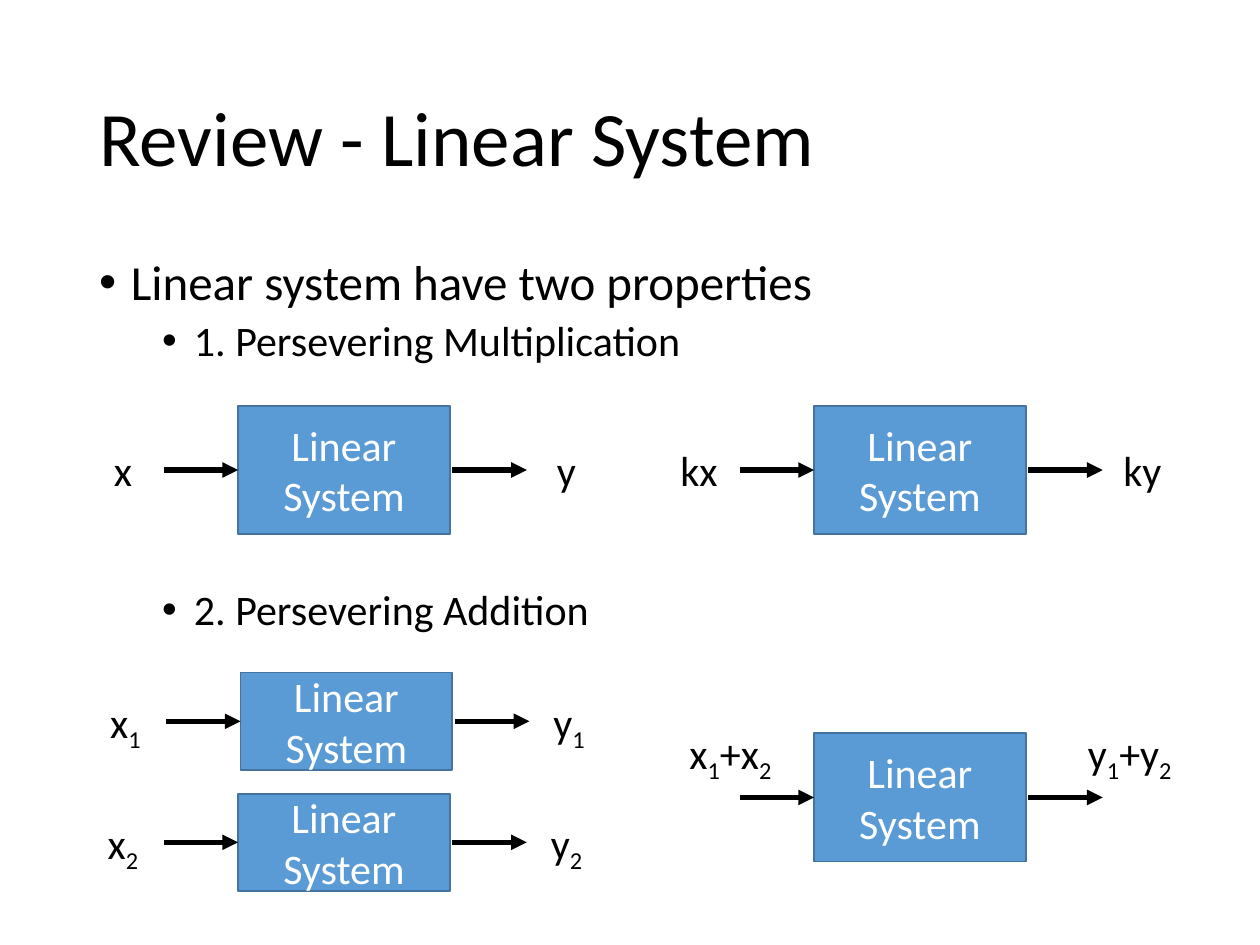
from itertools import groupby

from lxml import etree
from pptx import Presentation
from pptx import util as u
from pptx.dml.color import RGBColor
from pptx.enum import shapes, text
from pptx.oxml.ns import qn

BLACK, WHITE, BLUE, EDGE = "000000", "FFFFFF", "5B9BD5", "43739E"
BOX_WIDTH, ARROW_LENGTH, LABEL_HEIGHT = 4.27, 1.5, 1.27


def paint(target, colour):
    """Set a font, fill or line colour from a hex string."""
    target.rgb = RGBColor.from_string(colour)


def cm(*lengths):
    """Turn centimetre numbers into lengths."""
    return [u.Cm(length) for length in lengths]


def style(paragraph, size, colour=BLACK, align=text.PP_ALIGN.CENTER):
    """Give a paragraph its font and alignment."""
    paragraph.font.name = "Calibri"
    paragraph.font.size = u.Pt(size)
    paint(paragraph.font.color, colour)
    paragraph.alignment = align


def add_title(slide, wording):
    """Place and format the slide title."""
    title = slide.shapes.title
    title.left, title.top, title.width, title.height = cm(1.75, 1.01, 21.9, 3.68)
    title.text_frame.text = wording
    title.text_frame.vertical_anchor = text.MSO_ANCHOR.MIDDLE
    heading = title.text_frame.paragraphs[0]
    style(heading, 44, align=text.PP_ALIGN.LEFT)
    heading.line_spacing = 0.9


def add_outline(slide, items):
    """Add the bulleted outline of (wording, level, size, space before)."""
    frame = slide.shapes.add_textbox(*cm(1.75, 5.08, 21.9, 12.09)).text_frame
    frame.word_wrap = True
    frame.text = "\n".join(item[0] for item in items)
    for paragraph, (_, level, size, gap) in zip(frame.paragraphs, items):
        style(paragraph, size, align=text.PP_ALIGN.LEFT)
        paragraph.level = level
        paragraph.line_spacing = 0.9
        paragraph.space_before = u.Pt(gap)
        properties = paragraph._p.get_or_add_pPr()
        properties.set("marL", str(u.Cm(0.64 + 1.27 * level)))
        properties.set("indent", str(u.Cm(-0.64)))
        etree.SubElement(properties, qn("a:buFont")).set("typeface", "Arial")
        etree.SubElement(properties, qn("a:buChar")).set("char", "•")
        properties.append(properties.find(qn("a:defRPr")))


def add_box(slide, left, top, height):
    """Add one linear system block."""
    box = slide.shapes.add_shape(
        shapes.MSO_SHAPE.RECTANGLE, *cm(left, top, BOX_WIDTH, height))
    box.shadow.inherit = False
    box.fill.solid()
    paint(box.fill.fore_color, BLUE)
    paint(box.line.color, EDGE)
    box.line.width = u.Pt(1)
    box.text_frame.text = "Linear\nSystem"
    box.text_frame.vertical_anchor = text.MSO_ANCHOR.MIDDLE
    for paragraph in box.text_frame.paragraphs:
        style(paragraph, 24, WHITE)


def add_signal(slide, wording, left, top, width):
    """Add a signal label whose digits are subscripts."""
    frame = slide.shapes.add_textbox(*cm(left, top, width, LABEL_HEIGHT)).text_frame
    frame.word_wrap = True
    signal = frame.paragraphs[0]
    style(signal, 24)
    for is_index, letters in groupby(wording, str.isdigit):
        run = signal.add_run()
        run.text = "".join(letters)
        if is_index:
            run.font._element.set("baseline", "-25000")


def add_arrow(slide, left, y):
    """Add an arrow that points right."""
    arrow = slide.shapes.add_connector(
        shapes.MSO_CONNECTOR.STRAIGHT, *cm(left, y, left + ARROW_LENGTH, y))
    paint(arrow.line.color, BLACK)
    arrow.line.width = u.Pt(3)
    etree.SubElement(arrow.line._get_or_add_ln(), qn("a:tailEnd")).set("type", "triangle")
    etree.SubElement(arrow._element.spPr, qn("a:effectLst"))


def add_system(slide, signals, left, top, height,
               width=1.6, before=3.12, after=1.55, rise=0.63):
    """Add a block with its input and output arrows and labels."""
    middle, right = top + height / 2, left + BOX_WIDTH
    add_box(slide, left, top, height)
    add_arrow(slide, left - ARROW_LENGTH, middle)
    add_arrow(slide, right + 0.05, middle)
    for signal, start in zip(signals, (left - before, right + after)):
        add_signal(slide, signal, start, middle - rise, width)


def main():
    """Build the slide and save it."""
    deck = Presentation()
    deck.slide_width, deck.slide_height = cm(25.4, 19.05)
    slide = deck.slides.add_slide(deck.slide_layouts[5])
    add_title(slide, "Review - Linear System")
    add_outline(slide, [
        ("Linear system have two properties", 0, 28, 10),
        ("1. Persevering Multiplication", 1, 24, 5),
        ("2. Persevering Addition", 1, 24, 128),
    ])
    add_system(slide, ("x", "y"), 4.8, 8.18, 2.59)
    add_system(slide, ("kx", "ky"), 16.41, 8.18, 2.59)
    add_system(slide, ("x1", "y1"), 4.85, 13.56, 1.96)
    add_system(slide, ("x2", "y2"), 4.8, 16, 1.96)
    add_system(slide, ("x1+x2", "y1+y2"), 16.41, 14.78, 2.59,
               width=3.23, before=3.3, after=0.48, rise=1.54)
    deck.save("out.pptx")


main()
